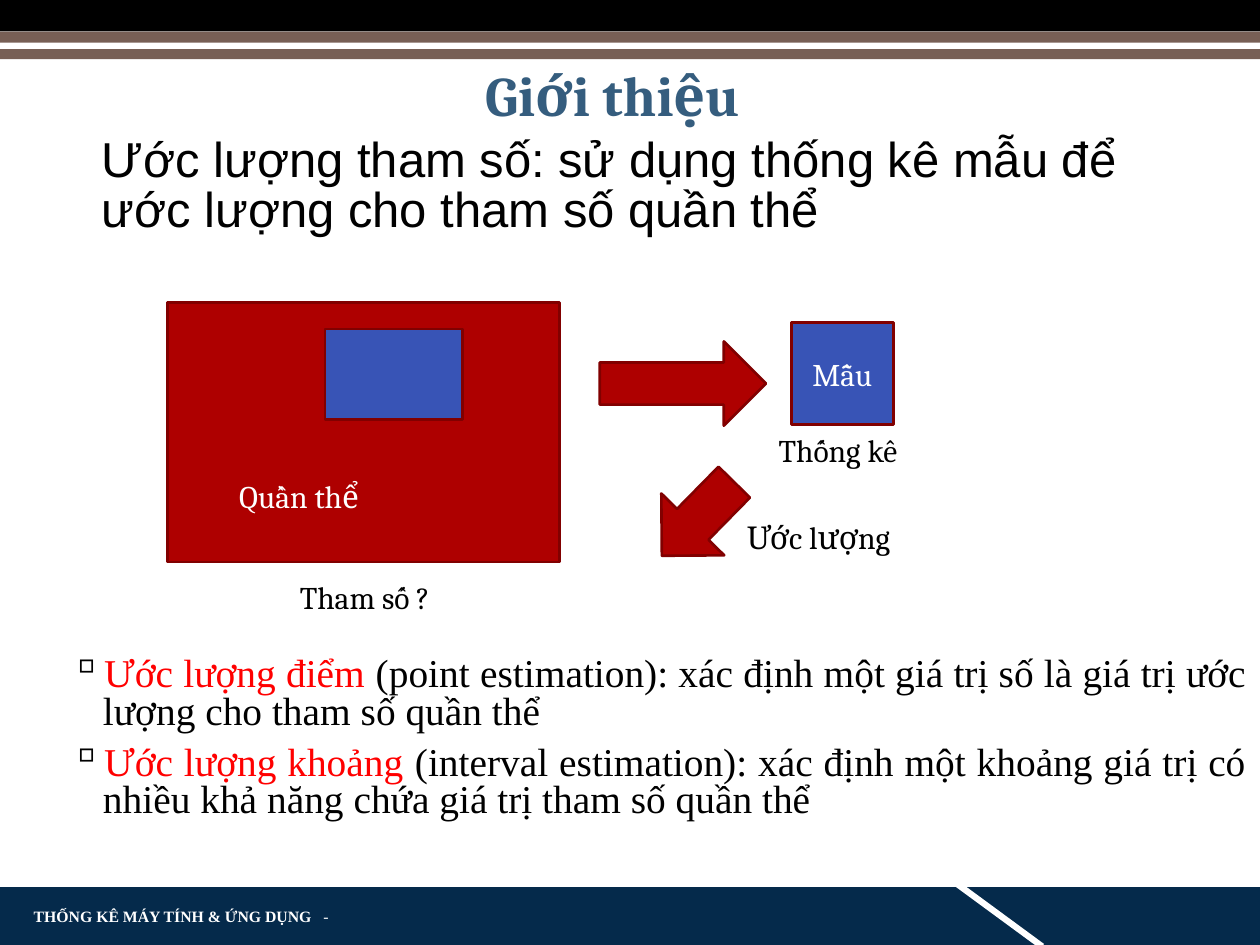
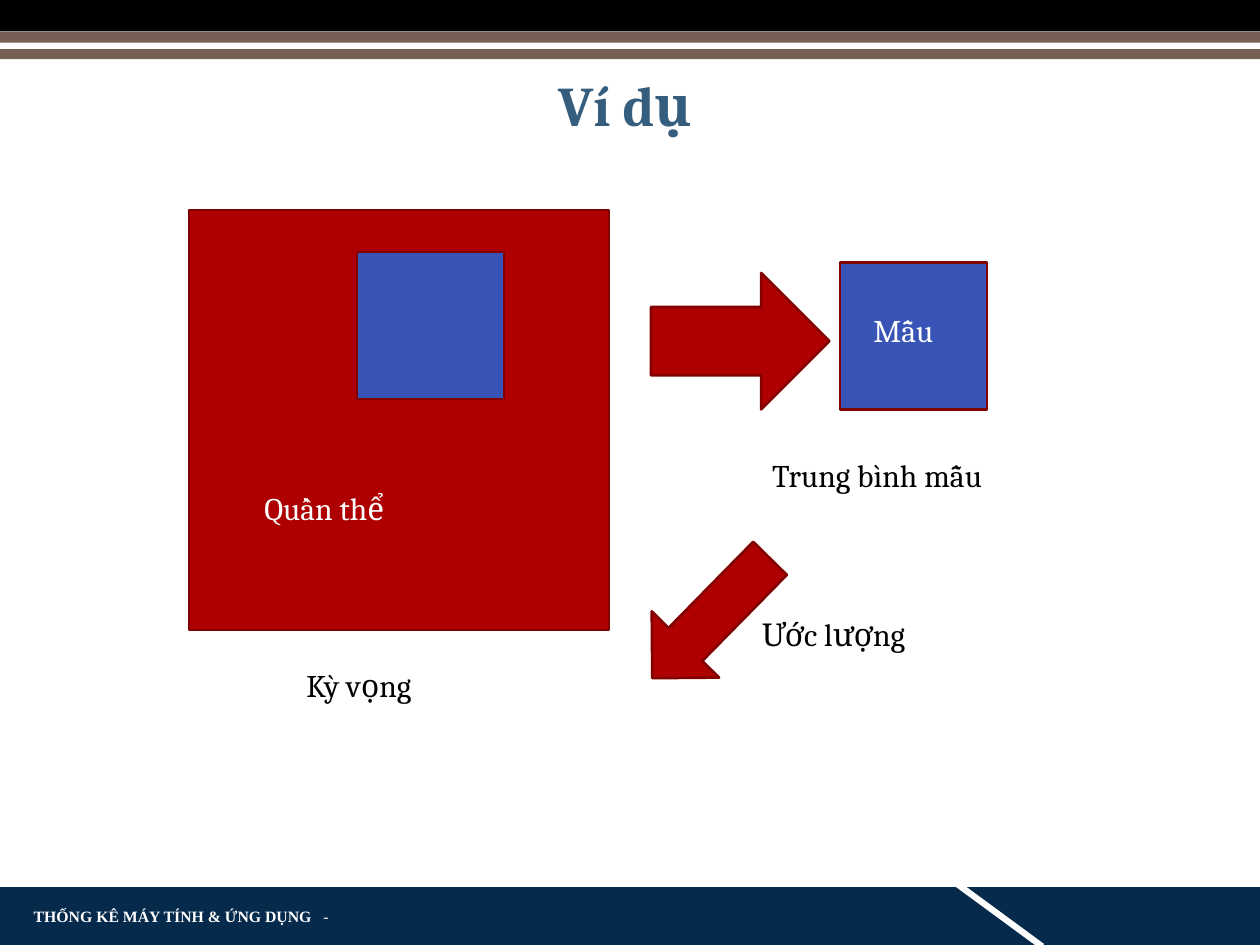
import pptx
import pptx.dml.color
import pptx.enum.shapes
import pptx.enum.text
import pptx.oxml.ns
import pptx.util
from lxml import etree

Pt = pptx.util.Pt
SHAPE = pptx.enum.shapes.MSO_SHAPE
ALIGN = pptx.enum.text.PP_ALIGN
ANCHOR = pptx.enum.text.MSO_ANCHOR

BLACK, WHITE, RED = "000000", "FFFFFF", "FF0000"
NAVY, BROWN, TITLE = "052A4B", "775F55", "355D7E"
POPULATION, SAMPLE, EDGE = "AE0000", "3854B6", "810000"
SERIF, HEADING, SANS = "Times New Roman", "Cambria", "Arial"


def rgb(value):
    """Turn a hex string into a colour."""
    return pptx.dml.color.RGBColor.from_string(value)


def add_child(parent, tag, **attributes):
    """Append a DrawingML element and return it."""
    return etree.SubElement(parent, pptx.oxml.ns.qn(tag), **attributes)


class Deck:
    """Holds the shared style and the current slide."""

    def __init__(self):
        """Start an empty 4:3 presentation."""
        self.prs = pptx.Presentation()
        self.prs.slide_width, self.prs.slide_height = Pt(720), Pt(540)

    def new_slide(self, title, top, right_inset=7.2):
        """Add a slide with its bands, footer and title."""
        self.s = self.prs.slides.add_slide(self.prs.slide_layouts[6])
        self.shape(SHAPE.RECTANGLE, 0, 507, 720, 33, NAVY)
        self.shape(SHAPE.RECTANGLE, 541.4, 521.3, 60, 3.6, WHITE, rotation=36.3)
        self.footer()
        for y, height, color in ((0, 18, BLACK), (18, 15.8, BROWN), (24.3, 3.6, WHITE)):
            self.shape(SHAPE.RECTANGLE, 0, y, 720, height, color)
        tf = self.text(title, 72.7, top, 569, 67, 32, TITLE, bold=True)
        tf.margin_right = Pt(right_inset)
        tf.paragraphs[0].alignment = ALIGN.CENTER
        tf.paragraphs[0].line_spacing = 0.9

    def footer(self):
        """Write the course name and a dash at a tab stop."""
        tf = self.frame(12.2, 516.2, 186, 14.4)
        tf.vertical_anchor = ANCHOR.MIDDLE
        p = tf.paragraphs[0]
        stops = add_child(p._p.get_or_add_pPr(), "a:tabLst")
        add_child(stops, "a:tab", pos=str(Pt(165.5)), algn="l")
        self.run(p, "THỐNG KÊ MÁY TÍNH & ỨNG DỤNG\t", 9, WHITE, SERIF, True)
        self.run(p, "-", 9, WHITE, SERIF)

    def frame(self, x, y, width, height):
        """Add a wrapping text box and return its frame."""
        sp = self.s.shapes.add_textbox(Pt(x), Pt(y), Pt(width), Pt(height))
        sp.text_frame.word_wrap = True
        return sp.text_frame

    def font(self, r, size, color, name=HEADING, bold=False):
        """Format one run."""
        r.font.size, r.font.name, r.font.bold = Pt(size), name, bold
        r.font.color.rgb = rgb(color)

    def run(self, p, text, *style):
        """Add a formatted run to a paragraph."""
        r = p.add_run()
        r.text = text
        self.font(r, *style)

    def text(self, text, x, y, width, height, size=18, color=BLACK, name=HEADING, bold=False):
        """Add a text box with one paragraph."""
        tf = self.frame(x, y, width, height)
        tf.text = text
        self.font(tf.paragraphs[0].runs[0], size, color, name, bold)
        return tf

    def label(self, text, x, y, width, color=BLACK):
        """Add a one-line diagram label."""
        self.text(text, x, y, width, 29, color=color)

    def shape(self, kind, x, y, width, height, fill, line=None, rotation=0):
        """Add a flat filled shape."""
        sp = self.s.shapes.add_shape(kind, Pt(x), Pt(y), Pt(width), Pt(height))
        sp.shadow.inherit = False
        sp.rotation = rotation
        sp.fill.solid()
        sp.fill.fore_color.rgb = rgb(fill)
        if line:
            sp.line.color.rgb = rgb(line)
            sp.line.width = Pt(1.5)
        else:
            sp.line.fill.background()
        return sp

    def box(self, x, y, width, height, fill, text=None):
        """Add an outlined box, with centred text if given."""
        sp = self.shape(SHAPE.RECTANGLE, x, y, width, height, fill, EDGE)
        if text:
            tf = sp.text_frame
            tf.text = text
            tf.vertical_anchor = ANCHOR.MIDDLE
            tf.paragraphs[0].alignment = ALIGN.CENTER
            self.font(tf.paragraphs[0].runs[0], 18, WHITE)

    def arrow(self, kind, x, y, width, height, rotation=0):
        """Add an outlined block arrow."""
        self.shape(kind, x, y, width, height, POPULATION, EDGE, rotation)

    def bullets(self, items, x, y, width, height):
        """Add justified bullets, each with a red term and its definition."""
        tf = self.frame(x, y, width, height)
        for i, (term, definition) in enumerate(items):
            p = tf.add_paragraph() if i else tf.paragraphs[0]
            p.alignment = ALIGN.JUSTIFY
            p.line_spacing = 0.8
            p.space_before = Pt(7.5 if i else 0)
            pPr = p._p.get_or_add_pPr()
            pPr.set("marL", str(Pt(51.8)))
            pPr.set("indent", str(Pt(-19.4)))
            add_child(add_child(pPr, "a:buClr"), "a:srgbClr", val=BLACK)
            add_child(pPr, "a:buChar", char="▫")
            self.run(p, term + " ", 22.5, RED, SERIF)
            self.run(p, definition, 22.5, BLACK, SERIF)


deck = Deck()

deck.new_slide("Giới thiệu", 35.3, right_inset=21.6)
deck.bullets(
    [
        ("Ước lượng điểm",
         "(point estimation): xác định một giá trị số là giá trị ước lượng cho tham số quần thể"),
        ("Ước lượng khoảng",
         "(interval estimation): xác định một khoảng giá trị có nhiều khả năng chứa giá trị "
         "tham số quần thể"),
    ],
    0, 372, 720, 126)
intro = deck.text("Ước lượng tham số: sử dụng thống kê mẫu để ước lượng cho tham số quần thể",
                  51, 75, 640, 65, 28, BLACK, SANS)
intro.paragraphs[0].line_spacing = 0.85
deck.box(95.8, 172.8, 224, 148.3, POPULATION)
deck.box(185.8, 188, 78.5, 51.8, SAMPLE)
deck.label("Quần thể", 129.6, 269.3, 207, WHITE)
deck.label("Thống kê", 437.8, 242.6, 145)
deck.label("Tham số ?", 164.2, 326.9, 104)
deck.arrow(SHAPE.DOWN_ARROW, 373.7, 267.1, 50.4, 59, 44.5)
deck.arrow(SHAPE.RIGHT_ARROW, 342.7, 195.1, 95, 48.2)
deck.box(452.2, 184.3, 58.3, 58.3, SAMPLE, "Mẫu")
deck.label("Ước lượng", 419.8, 292.3, 145)

deck.new_slide("Ví dụ", 41)
deck.box(108, 120, 240, 240, POPULATION)
deck.box(204, 144, 84, 84, SAMPLE)
deck.box(480, 150, 84, 84, SAMPLE)
deck.label("Quần thể", 144, 276, 222, WHITE)
deck.label("Trung bình mẫu", 434.2, 257, 180)
deck.label("Kỳ vọng", 168, 377.3, 222)
deck.label("Mẫu", 492, 174, 120, WHITE)
deck.arrow(SHAPE.DOWN_ARROW, 379.4, 305.3, 54, 96, 44.5)
deck.arrow(SHAPE.RIGHT_ARROW, 372, 156, 102, 78)
deck.label("Ước lượng", 428.4, 348, 145)

deck.prs.save("out.pptx")
